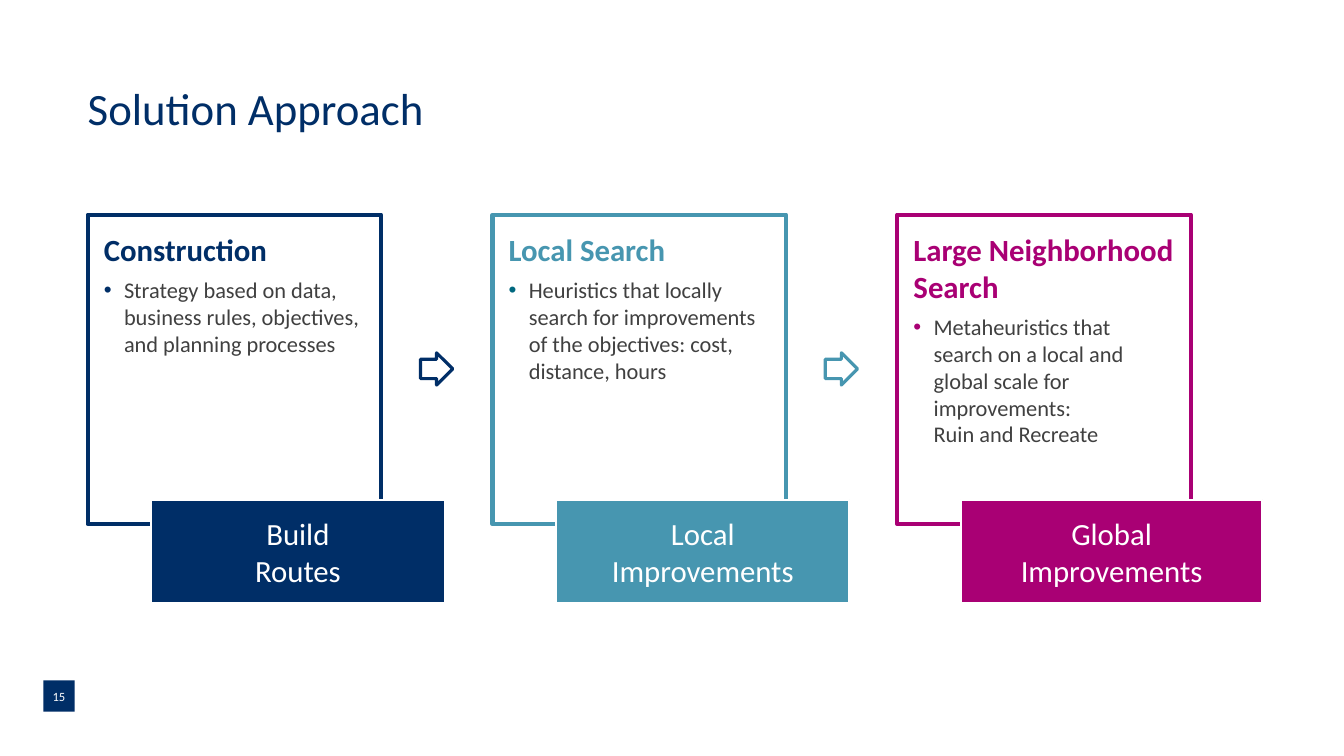
from lxml import etree
from pptx import Presentation
from pptx.dml.color import RGBColor
from pptx.enum import shapes, text
from pptx.oxml.ns import qn
from pptx.util import Inches, Pt

NAVY = RGBColor(0x00, 0x2E, 0x67)
BLUE = RGBColor(0x47, 0x96, 0xB0)
TEAL = RGBColor(0x00, 0x68, 0x7F)
PINK = RGBColor(0xA9, 0x00, 0x74)
GRAY = RGBColor(0x40, 0x40, 0x40)
WHITE = RGBColor(0xFF, 0xFF, 0xFF)
FONT = "Calibri"

TITLE = "Solution Approach"
PAGE = "15"
# heading, bullet text, tag, tag width, colour, bullet colour
STEPS = [
    ("Construction",
     "Strategy based on data, business rules, objectives, and planning processes",
     "Build\vRoutes", 2.91, NAVY, NAVY),
    ("Local Search",
     "Heuristics that locally search for improvements of the objectives: "
     "cost, distance, hours",
     "Local\vImprovements", 2.91, BLUE, TEAL),
    ("Large Neighborhood Search",
     "Metaheuristics that search on a local and global scale for improvements:"
     "\vRuin and Recreate",
     "Global\vImprovements", 2.99, PINK, PINK),
]
LEFT, TOP, WIDE, HIGH = 0.87, 2.13, 2.91, 3.07
PITCH = (8.9 - LEFT) / 2
TAG_DX, TAG_TOP, TAG_HIGH = 0.63, 4.96, 1.02
ARROW_DX, ARROW_TOP, ARROW = 3.3, 3.5, 0.32

KIND = shapes.MSO_SHAPE
ALIGN = text.PP_ALIGN
ANCHOR = text.MSO_ANCHOR


def add(kind, box, fill=None, line=None, weight=0):
    shape = slide.shapes.add_shape(kind, *map(Inches, box))
    shape.shadow.inherit = False
    if fill is None:
        shape.fill.background()
    else:
        shape.fill.solid()
        shape.fill.fore_color.rgb = fill
    if line is None:
        shape.line.fill.background()
    else:
        shape.line.color.rgb = line
        shape.line.width = Pt(weight)
    return shape


def frame(shape, inset, anchor, wrap=True):
    body = shape.text_frame
    body.margin_left = body.margin_right = Inches(inset)
    body.margin_top = body.margin_bottom = Inches(inset)
    body.vertical_anchor = anchor
    body.word_wrap = wrap
    return body


def style(para, size, color, align=ALIGN.LEFT, bold=False):
    para.alignment = align
    for run in para.runs:
        font = run.font
        font.name, font.size, font.bold = FONT, Pt(size), bold
        font.color.rgb = color


def bullet(para, color):
    props = para._p.get_or_add_pPr()
    props.set("marL", str(Inches(0.2)))
    props.set("indent", str(-Inches(0.2)))
    tint = etree.SubElement(props, qn("a:buClr"))
    etree.SubElement(tint, qn("a:srgbClr"), val=str(color))
    etree.SubElement(props, qn("a:buFont"), typeface="Arial")
    etree.SubElement(props, qn("a:buChar"), char="•")


def label(shape, words, size, wrap=True):
    """Centre white words in a shape."""
    body = frame(shape, 0, ANCHOR.MIDDLE, wrap)
    body.text = words
    style(body.paragraphs[0], size, WHITE, ALIGN.CENTER)


def panel(left, head, note, color, dot):
    card = add(KIND.RECTANGLE, (left, TOP, WIDE, HIGH), WHITE, color, 3)
    body = frame(card, 0.16, ANCHOR.TOP)
    body.text = head
    first = body.paragraphs[0]
    first.space_after = Pt(6)
    style(first, 22, color, bold=True)
    item = body.add_paragraph()
    item.text = note
    bullet(item, dot)
    item.level = 1
    style(item, 16, GRAY)


deck = Presentation()
deck.slide_width, deck.slide_height = Inches(13.33), Inches(7.5)
slide = deck.slides.add_slide(deck.slide_layouts[5])

title = slide.shapes.title
title.left, title.top = Inches(LEFT), Inches(0.87)
title.width, title.height = Inches(11.6), Inches(0.46)
body = frame(title, 0, ANCHOR.MIDDLE)
body.auto_size = text.MSO_AUTO_SIZE.NONE
body.text = TITLE
body.paragraphs[0].line_spacing = 0.9
style(body.paragraphs[0], 32, NAVY)

label(add(KIND.RECTANGLE, (0.43, 6.75, 0.31, 0.31), NAVY), PAGE, 9)

for i, (head, note, tag, width, color, dot) in enumerate(STEPS):
    left = LEFT + i * PITCH
    panel(left, head, note, color, dot)
    box = (left + TAG_DX, TAG_TOP, width, TAG_HIGH)
    label(add(KIND.RECTANGLE, box, color, WHITE, 1.5), tag, 22, wrap=False)
    if i < len(STEPS) - 1:
        box = (left + ARROW_DX, ARROW_TOP, ARROW, ARROW)
        arrow = add(KIND.RIGHT_ARROW, box, line=color, weight=2.25)
        arrow.adjustments[0] = 0.6
        arrow.adjustments[1] = 0.5

deck.save("out.pptx")
